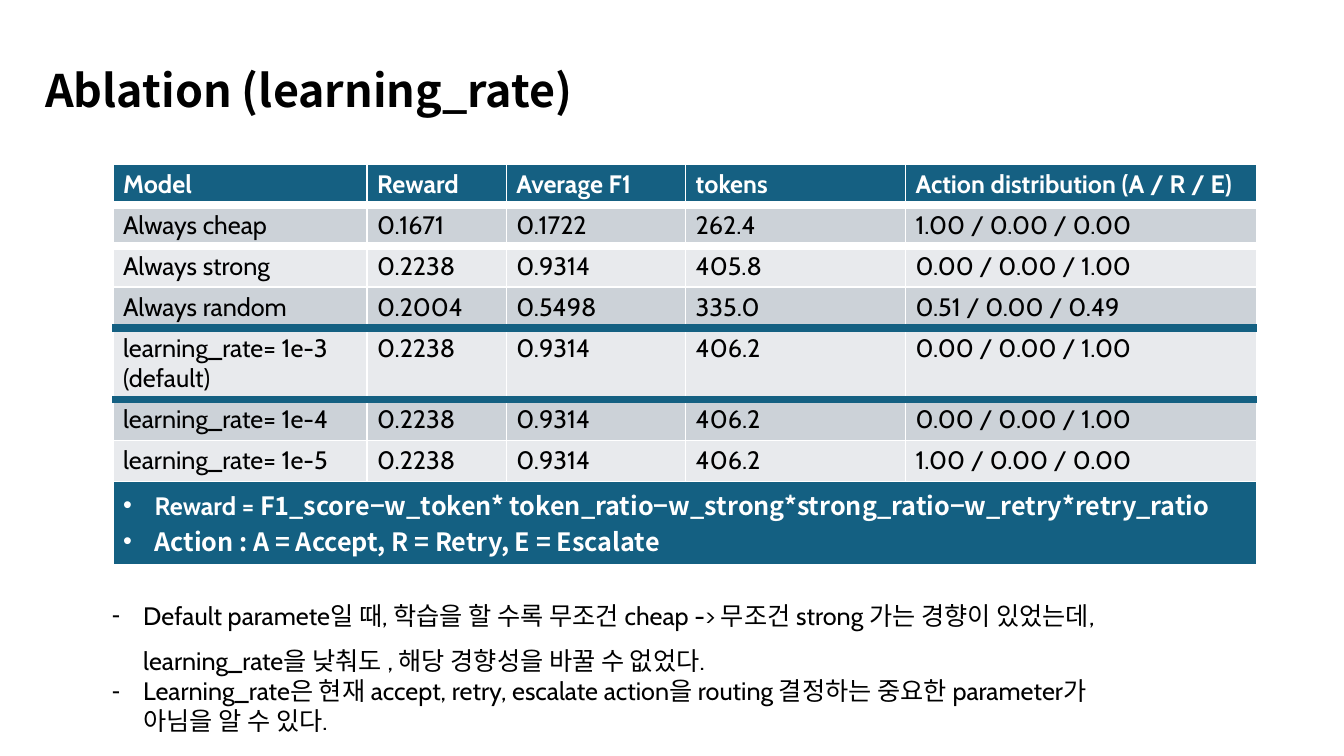
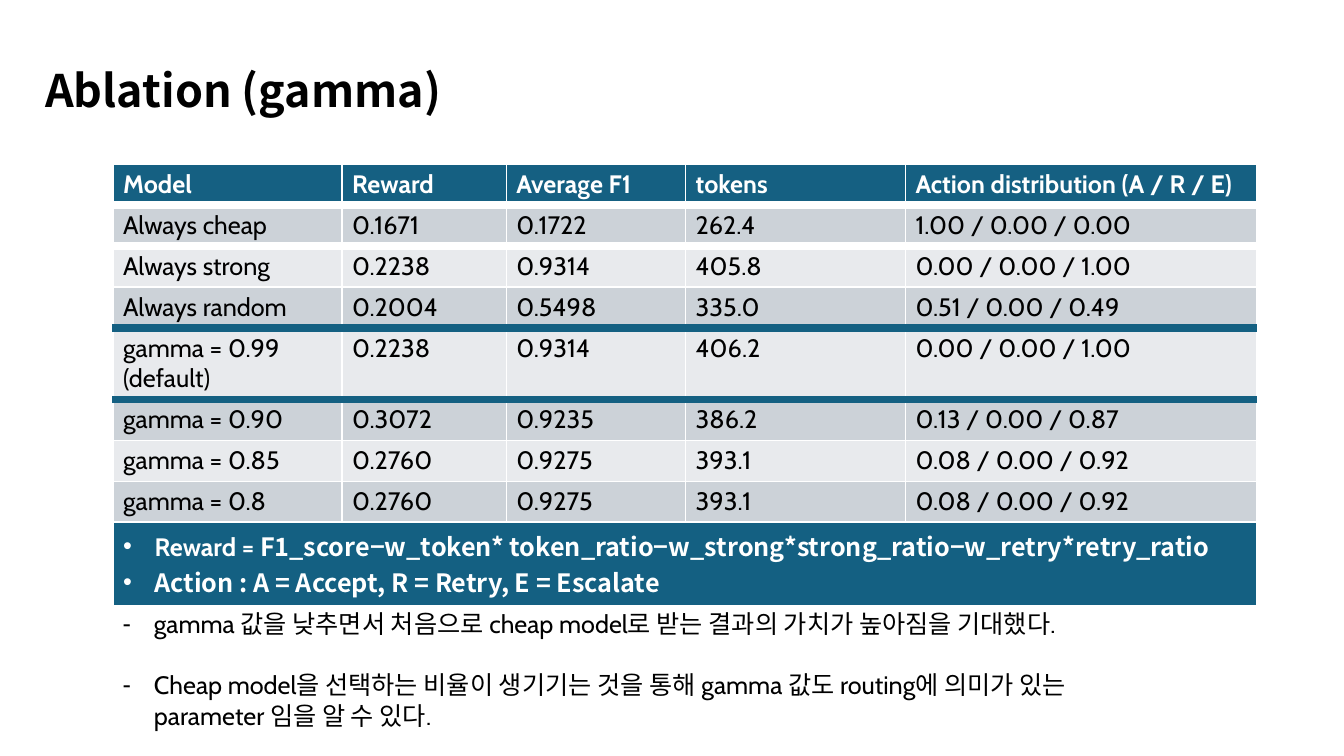
from lxml.etree import SubElement
from pptx import Presentation
from pptx.dml.color import RGBColor
from pptx.enum.text import MSO_ANCHOR, MSO_AUTO_SIZE, PP_ALIGN
from pptx.oxml.ns import qn
from pptx.util import Cm, Pt


class Theme:
    white = RGBColor.from_string("FFFFFF")
    black = RGBColor.from_string("000000")
    head = RGBColor.from_string("156082")
    accent = RGBColor.from_string("146082")
    bands = [RGBColor.from_string("E8EAED"), RGBColor.from_string("CCD2D8")]
    body_font = "Cabin"
    bold_font = "Noto Sans CJK KR"
    title_size = Pt(32)
    body_size = Pt(18)
    thin = Pt(1)
    thick = Pt(6)


def style(para, color, bold=False, name=Theme.body_font, size=Theme.body_size):
    """Format every run of a paragraph, for Latin and Korean text alike."""
    for run in para.runs:
        font = run.font
        font.name, font.size, font.bold = name, size, bold
        font.color.rgb = color
        SubElement(run.font._element, qn("a:ea"), typeface=name)


def bullet(para, char):
    """Give a paragraph a hanging bullet."""
    props = para._p.get_or_add_pPr()
    props.set("marL", str(Cm(0.79)))
    props.set("indent", str(-Cm(0.79)))
    SubElement(props, qn("a:buFont"), typeface="Arial")
    SubElement(props, qn("a:buChar"), char=char)


# Content shared by both tables
header = ["Model", "Reward", "Average F1", "tokens", "Action distribution (A / R / E)"]
base = [
    ["Always cheap", "0.1671", "0.1722", "262.4", "1.00 / 0.00 / 0.00"],
    ["Always strong", "0.2238", "0.9314", "405.8", "0.00 / 0.00 / 1.00"],
    ["Always random", "0.2004", "0.5498", "335.0", "0.51 / 0.00 / 0.49"],
]
same = ["0.2238", "0.9314", "406.2", "0.00 / 0.00 / 1.00"]
legend = [
    "Reward = ",
    "Action : A = Accept, R = Retry, E = Escalate",
]
formula = "F1_score−w_token* token_ratio−w_strong*strong_ratio−w_retry*retry_ratio"

# Content of each slide; a note is its text, line spacing and space before
slides = [
    {
        "title": "Ablation (learning_rate)",
        "cols": [6.4, 3.51],
        "rows": [
            ["learning_rate= 1e-3\n(default)", *same],
            ["learning_rate= 1e-4", *same],
            ["learning_rate= 1e-5", *same[:3], "1.00 / 0.00 / 0.00"],
        ],
        "box": [2.57, 14.61, 25.37, 4.11],
        "notes": [
            ("Default paramete일 때, 학습을 할 수록 무조건 cheap -> 무조건 strong 가는 경향이 "
             "있었는데, learning_rate을 낮춰도 , 해당 경향성을 바꿀 수 없었다.", 1.5, 0),
            ("Learning_rate은 현재 accept, retry, escalate action을 routing 결정하는 중요한 "
             "parameter가 아님을 알 수 있다.", 1.0, 0),
        ],
    },
    {
        "title": "Ablation (gamma)",
        "cols": [5.77, 4.14],
        "rows": [
            ["gamma = 0.99\n(default)", *same],
            ["gamma = 0.90", "0.3072", "0.9235", "386.2", "0.13 / 0.00 / 0.87"],
            ["gamma = 0.85", "0.2760", "0.9275", "393.1", "0.08 / 0.00 / 0.92"],
            ["gamma = 0.8", "0.2760", "0.9275", "393.1", "0.08 / 0.00 / 0.92"],
        ],
        "box": [2.84, 15.21, 25.37, 3.33],
        "notes": [
            ("gamma 값을 낮추면서 처음으로 cheap model로 받는 결과의 가치가 높아짐을 기대했다.", 1.0, 0),
            ("Cheap model을 선택하는 비율이 생기기는 것을 통해 gamma 값도 routing에 의미가 있는 "
             "parameter 임을 알 수 있다.", 1.0, 22),
        ],
    },
]

# Thick rules below these rows
rules = {0: Theme.white, 1: Theme.white, 3: Theme.accent, 4: Theme.accent}

deck = Presentation()
deck.slide_width, deck.slide_height = Cm(33.87), Cm(19.05)

for data in slides:
    slide = deck.slides.add_slide(deck.slide_layouts[5])

    # Title
    title = slide.shapes.title
    title.left, title.top, title.width, title.height = Cm(1.14), Cm(0.97), Cm(18.29), Cm(1.98)
    frame = title.text_frame
    frame.text = data["title"]
    frame.margin_left = frame.margin_right = frame.margin_top = frame.margin_bottom = 0
    frame.vertical_anchor = MSO_ANCHOR.TOP
    frame.auto_size = MSO_AUTO_SIZE.NONE
    para = frame.paragraphs[0]
    para.alignment = PP_ALIGN.LEFT
    para.line_spacing = Pt(55.5)
    style(para, Theme.black, True, Theme.bold_font, Theme.title_size)

    # Table grid, with the last row as one merged legend
    rows = [header, *base, *data["rows"], [""] * len(header)]
    last = len(rows) - 1
    widths = [*data["cols"], 4.52, 5.54, 8.84]
    table = slide.shapes.add_table(
        len(rows), len(header), Cm(2.85), Cm(4.14), Cm(sum(widths)), Cm(1.03 * len(rows))
    ).table
    table.first_row = table.horz_banding = False
    for col, width in zip(table.columns, widths):
        col.width = Cm(width)
    for row in table.rows:
        row.height = Cm(1.03)
    table.cell(last, 0).merge(table.cell(last, len(header) - 1))

    # Table cells
    for r, texts in enumerate(rows):
        for c, text in enumerate(texts):
            cell = table.cell(r, c)
            props = cell._tc.get_or_add_tcPr()
            for side in ["L", "R", "B"] if r else ["L", "R", "T", "B"]:
                rule = side == "B" and r in rules
                width = Theme.thick if rule else Theme.thin
                line = SubElement(props, qn(f"a:ln{side}"), w=str(width))
                paint = SubElement(line, qn("a:solidFill"))
                color = rules[r] if rule else Theme.white
                SubElement(paint, qn("a:srgbClr"), val=str(color))
            cell.fill.solid()
            cell.fill.fore_color.rgb = (
                Theme.head if r == 0 else Theme.accent if r == last else Theme.bands[r % 2]
            )
            if text:
                cell.text_frame.text = text
                for para in cell.text_frame.paragraphs:
                    style(para, Theme.black if r else Theme.white, r == 0)

    # Legend
    frame = table.cell(last, 0).text_frame
    frame.text = "\n".join(legend)
    frame.paragraphs[0].add_run().text = formula
    for para in frame.paragraphs:
        bullet(para, "•")
        style(para, Theme.white, True, Theme.bold_font)
    lead = frame.paragraphs[0].runs[0].font
    lead.name = Theme.body_font

    # Notes
    frame = slide.shapes.add_textbox(*[Cm(n) for n in data["box"]]).text_frame
    frame.word_wrap = True
    frame.text = "\n".join(note[0] for note in data["notes"])
    for para, (_, spacing, before) in zip(frame.paragraphs, data["notes"]):
        bullet(para, "-")
        para.line_spacing = spacing
        para.space_before = Pt(before)
        style(para, Theme.black)

deck.save("out.pptx")
